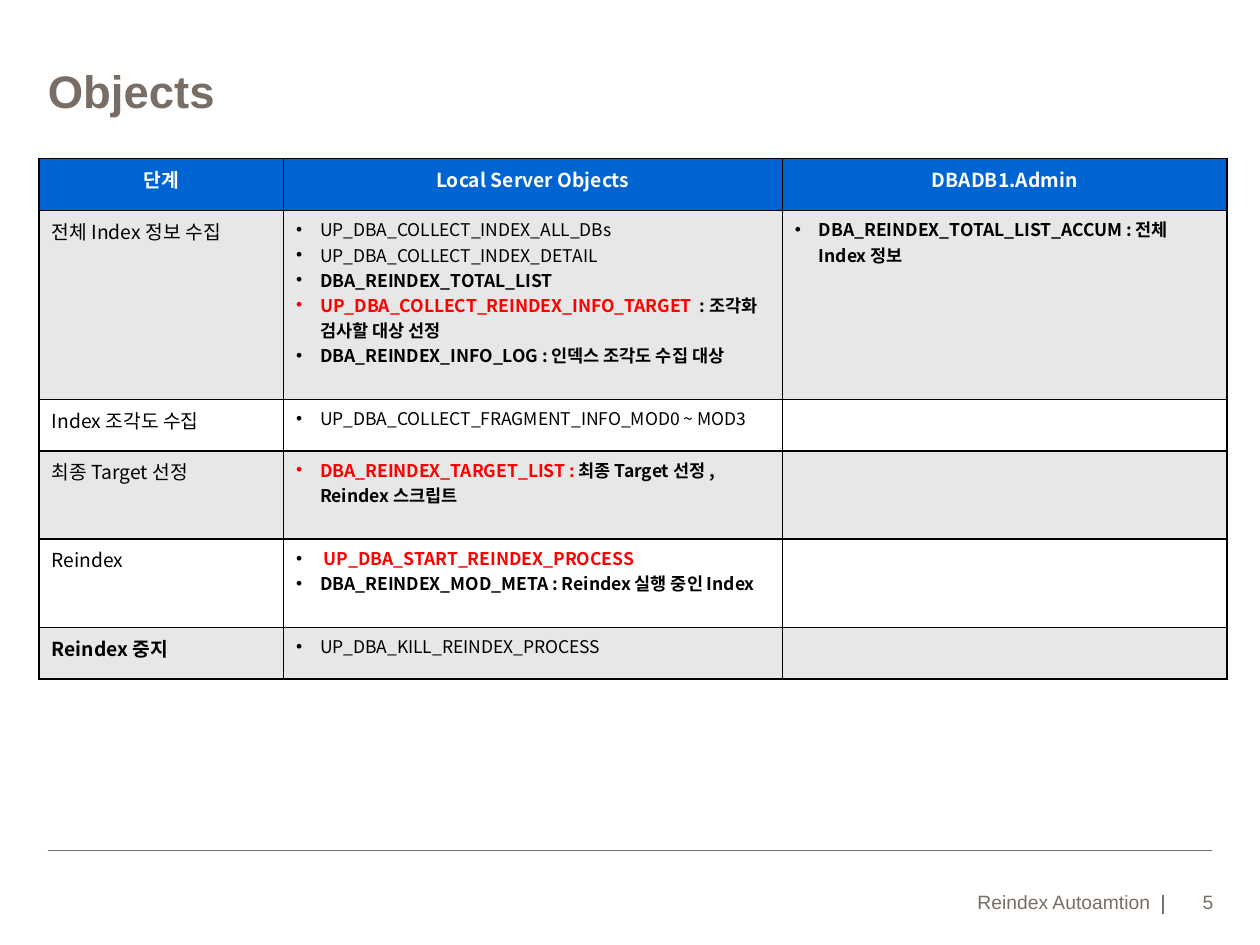
from lxml import etree
from pptx import Presentation
from pptx.dml.color import RGBColor
from pptx.enum.shapes import MSO_CONNECTOR
from pptx.enum.text import MSO_ANCHOR, PP_ALIGN
from pptx.oxml.ns import qn
from pptx.util import Inches, Pt

STRAIGHT = MSO_CONNECTOR.STRAIGHT
TOP, BOTTOM = MSO_ANCHOR.TOP, MSO_ANCHOR.BOTTOM
LEFT, CENTER, RIGHT = PP_ALIGN.LEFT, PP_ALIGN.CENTER, PP_ALIGN.RIGHT

LATIN, KOREAN = "Arial", "Noto Sans CJK KR"
TAUPE, BLUE, GRAY = "796E65", "0064D2", "E7E7E7"
WHITE, BLACK, RED = "FFFFFF", "000000", "FF0000"

HEADERS = ["단계", "Local Server Objects", "DBADB1.Admin"]
COLUMN_WIDTHS = [1.94, 3.96, 3.53]
HEADER_HEIGHT = 0.41

STAGES = [
    (1.5, "전체 Index 정보 수집", False, [
        [("UP_DBA_COLLECT_INDEX_ALL_DBs", BLACK, False)],
        [("UP_DBA_COLLECT_INDEX_DETAIL", BLACK, False)],
        [("DBA_REINDEX_TOTAL_LIST", BLACK, True)],
        [("UP_DBA_COLLECT_REINDEX_INFO_TARGET ", RED, True),
         (" : 조각화 검사할 대상 선정", BLACK, True)],
        [("DBA_REINDEX_INFO_LOG : 인덱스 조각도 수집 대상", BLACK, True)],
    ], [
        [("DBA_REINDEX_TOTAL_LIST_ACCUM : 전체 Index 정보", BLACK, True)],
    ]),
    (0.41, "Index 조각도 수집", False, [
        [("UP_DBA_COLLECT_FRAGMENT_INFO_MOD0 ~ MOD3", BLACK, False)],
    ], []),
    (0.7, "최종 Target 선정", False, [
        [("DBA_REINDEX_TARGET_LIST : ", RED, True),
         ("최종 Target 선정 , Reindex 스크립트", BLACK, True)],
    ], []),
    (0.7, "Reindex", False, [
        [(" ", BLACK, False), ("UP_DBA_START_REINDEX_PROCESS", RED, True)],
        [("DBA_REINDEX_MOD_META : Reindex 실행 중인 Index", BLACK, True)],
    ], []),
    (0.41, "Reindex 중지", True, [
        [("UP_DBA_KILL_REINDEX_PROCESS", BLACK, False)],
    ], []),
]


def rgb(code):
    return RGBColor.from_string(code)


def write(paragraph, text, *, size, color, bold=False, font=LATIN, align=LEFT):
    paragraph.alignment = align
    run = paragraph.add_run()
    run.text = text
    run.font.size = Pt(size)
    run.font.bold = bold
    run.font.name = font
    run.font.color.rgb = rgb(color)
    east_asian = etree.SubElement(run.font._element, qn("a:ea"))
    east_asian.set("typeface", font)


def add_bullet(paragraph):
    properties = paragraph._p.get_or_add_pPr()
    properties.set("marL", str(Inches(0.19)))
    properties.set("indent", str(-Inches(0.19)))
    etree.SubElement(properties, qn("a:buFont")).set("typeface", LATIN)
    etree.SubElement(properties, qn("a:buChar")).set("char", "•")


def add_borders(cell):
    properties = cell._tc.get_or_add_tcPr()
    for position, side in enumerate(("a:lnL", "a:lnR", "a:lnT", "a:lnB")):
        border = etree.Element(qn(side), w=str(Pt(1)))
        fill = etree.SubElement(border, qn("a:solidFill"))
        etree.SubElement(fill, qn("a:srgbClr")).set("val", BLACK)
        properties.insert(position, border)


class SlideBuilder:
    def __init__(self, slide, font, accent):
        self.slide = slide
        self.font = font
        self.accent = accent

    def rule(self, x1, y1, x2, y2):
        line = self.slide.shapes.add_connector(
            STRAIGHT, Inches(x1), Inches(y1), Inches(x2), Inches(y2))
        line.line.color.rgb = rgb(self.accent)
        line.line.width = Pt(1)
        etree.SubElement(line._element.spPr, qn("a:effectLst"))

    def text(self, text, left, top, width, height, *, anchor=TOP, inset=0, **style):
        box = self.slide.shapes.add_textbox(
            Inches(left), Inches(top), Inches(width), Inches(height))
        frame = box.text_frame
        frame.word_wrap = True
        frame.vertical_anchor = anchor
        frame.margin_left = frame.margin_right = frame.margin_bottom = 0
        frame.margin_top = Inches(inset)
        write(frame.paragraphs[0], text, color=self.accent, font=self.font, **style)

    def table(self, left, top, widths, heights):
        frame = self.slide.shapes.add_table(
            len(heights), len(widths), Inches(left), Inches(top),
            Inches(sum(widths)), Inches(sum(heights)))
        table = frame.table
        for column, width in zip(table.columns, widths):
            column.width = Inches(width)
        for row, height in zip(table.rows, heights):
            row.height = Inches(height)
        return table

    def cell(self, cell, fill, paragraphs, *, size=11, align=LEFT, bulleted=False):
        cell.fill.solid()
        cell.fill.fore_color.rgb = rgb(fill)
        add_borders(cell)
        frame = cell.text_frame
        for index, runs in enumerate(paragraphs):
            paragraph = frame.add_paragraph() if index else frame.paragraphs[0]
            if bulleted:
                add_bullet(paragraph)
            for text, color, bold in runs:
                write(paragraph, text, size=size, color=color, bold=bold,
                      font=KOREAN, align=align)


def main():
    deck = Presentation()
    deck.slide_width, deck.slide_height = Inches(10), Inches(7.5)
    builder = SlideBuilder(deck.slides.add_slide(deck.slide_layouts[6]), LATIN, TAUPE)

    builder.rule(0.38, 6.75, 9.62, 6.75)
    builder.rule(9.23, 7.1, 9.23, 7.25)
    builder.text("Objects", 0.38, 0.5, 9.24, 1.01, size=26, bold=True)
    footer = {"anchor": BOTTOM, "inset": 0.05, "size": 11, "align": RIGHT}
    builder.text("Reindex Autoamtion", 5.47, 6.97, 3.66, 0.28, **footer)
    builder.text("5", 9.23, 6.98, 0.4, 0.27, **footer)

    heights = [HEADER_HEIGHT] + [stage[0] for stage in STAGES]
    objects = builder.table(0.31, 1.26, COLUMN_WIDTHS, heights)
    for column, header in enumerate(HEADERS):
        builder.cell(objects.cell(0, column), BLUE, [[(header, WHITE, True)]],
                     align=CENTER)
    for row, (_, stage, bold, local, admin) in enumerate(STAGES, start=1):
        fill = GRAY if row % 2 else WHITE
        builder.cell(objects.cell(row, 0), fill, [[(stage, BLACK, bold)]])
        for column, names in enumerate((local, admin), start=1):
            builder.cell(objects.cell(row, column), fill, names,
                         size=10, bulleted=True)

    deck.save("out.pptx")


if __name__ == "__main__":
    main()
